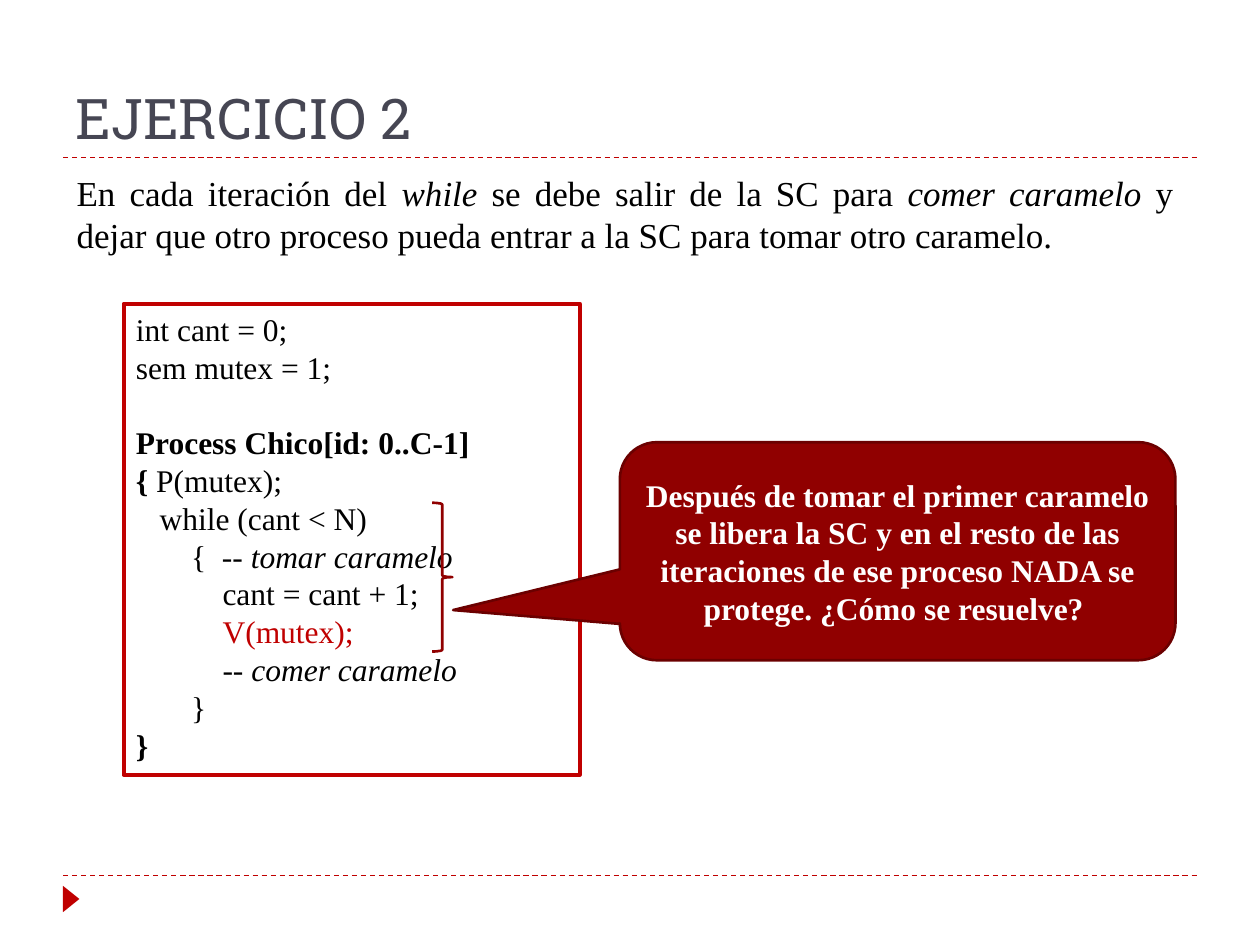
from dataclasses import dataclass
from typing import Optional

from lxml.etree import SubElement
from pptx import Presentation
from pptx.dml.color import RGBColor
from pptx.enum.dml import MSO_LINE
from pptx.enum.shapes import MSO_CONNECTOR, MSO_SHAPE
from pptx.enum.text import MSO_ANCHOR, MSO_AUTO_SIZE, PP_ALIGN
from pptx.oxml.ns import qn
from pptx.util import Pt


@dataclass(frozen=True)
class Theme:
    serif: str = "Times New Roman"
    slab: str = "Roboto Slab"
    ink: str = "000000"
    slate: str = "464653"
    white: str = "FFFFFF"
    red: str = "C00000"
    wine: str = "900000"
    edge: str = "6B0000"
    head: float = 32
    body: float = 20
    code: float = 18


@dataclass(frozen=True)
class Box:
    left: float
    top: float
    width: float
    height: float

    def pts(self):
        return Pt(self.left), Pt(self.top), Pt(self.width), Pt(self.height)


@dataclass(frozen=True)
class Word:
    text: str
    bold: bool = False
    slant: bool = False
    color: str = Theme.ink


@dataclass(frozen=True)
class Line:
    words: tuple[Word, ...]
    gap: float = 0


@dataclass(frozen=True)
class Form:
    kind: MSO_SHAPE
    box: Box
    fill: Optional[str] = None
    line: Optional[str] = None
    width: float = 1.5
    turn: float = 0
    bends: tuple[float, ...] = ()


THEME = Theme()

INTRO = [Line((
    Word("En cada iteración del "),
    Word("while", slant=True),
    Word(" se debe salir de la SC para"),
    Word(" comer caramelo", slant=True),
    Word(" y dejar que otro proceso pueda entrar a la SC para tomar otro caramelo. "),
))]

CODE = [
    Line((Word("int cant = 0;"),)),
    Line((Word("sem mutex = 1;"),)),
    Line((Word("Process Chico[id: 0..C-1]", bold=True),), gap=21.6),
    Line((Word("{", bold=True), Word(" P(mutex);"))),
    Line((Word("   while (cant < N)"),)),
    Line((Word("       {  -- "), Word("tomar caramelo", slant=True))),
    Line((Word("           cant = cant + 1;"),)),
    Line((Word("           "), Word("V(mutex);", color=THEME.red))),
    Line((Word("           -- "), Word("comer caramelo", slant=True))),
    Line((Word("       }"),)),
    Line((Word("}", bold=True),)),
]

NOTE = [Line((Word(
    "Después de tomar el primer caramelo se libera la SC y en el resto de las "
    "iteraciones de ese proceso NADA se protege. ¿Cómo se resuelve? ",
    bold=True, color=THEME.white),))]

ARROW = Form(MSO_SHAPE.ISOSCELES_TRIANGLE, Box(33.1, 509, 15.1, 9.4), fill=THEME.red, turn=90)
FRAME = Form(MSO_SHAPE.RECTANGLE, Box(70.6, 173.5, 260.6, 269.3), line=THEME.red, width=2.25)
BUBBLE = Form(MSO_SHAPE.ROUNDED_RECTANGULAR_CALLOUT, Box(354.2, 252.7, 317.5, 124.6),
              fill=THEME.wine, line=THEME.edge, bends=(-0.8, 0.27, 0.17))
BRACE = Form(MSO_SHAPE.RIGHT_BRACE, Box(247, 287.3, 11.5, 85), line=THEME.wine)


def tint(code: str) -> RGBColor:
    return RGBColor.from_string(code)


def write(frame, lines: list[Line], size: float, font: str = THEME.serif,
          align=PP_ALIGN.LEFT, anchor=MSO_ANCHOR.TOP) -> None:
    frame.word_wrap = True
    frame.auto_size = MSO_AUTO_SIZE.NONE
    frame.vertical_anchor = anchor
    for spot, line in enumerate(lines):
        para = frame.add_paragraph() if spot else frame.paragraphs[0]
        para.alignment = align
        if line.gap:
            para.space_before = Pt(line.gap)
        for word in line.words:
            run = para.add_run()
            run.text = word.text
            run.font.name = font
            run.font.size = Pt(size)
            run.font.bold = word.bold
            run.font.italic = word.slant
            run.font.color.rgb = tint(word.color)


def rule(slide, top: float) -> None:
    line = slide.shapes.add_connector(
        MSO_CONNECTOR.STRAIGHT, Pt(36), Pt(top), Pt(684), Pt(top))
    line.line.color.rgb = tint(THEME.red)
    line.line.width = Pt(0.75)
    line.line.dash_style = MSO_LINE.DASH
    SubElement(line._element.spPr, qn("a:effectLst"))


def draw(slide, form: Form):
    shape = slide.shapes.add_shape(form.kind, *form.box.pts())
    shape.shadow.inherit = False
    shape.rotation = form.turn
    for spot, bend in enumerate(form.bends):
        shape.adjustments[spot] = bend
    if form.fill:
        shape.fill.solid()
        shape.fill.fore_color.rgb = tint(form.fill)
    else:
        shape.fill.background()
    if form.line:
        shape.line.color.rgb = tint(form.line)
        shape.line.width = Pt(form.width)
    else:
        shape.line.fill.background()
    return shape


def main() -> None:
    deck = Presentation()
    deck.slide_width, deck.slide_height = Pt(720), Pt(540)
    slide = deck.slides.add_slide(deck.slide_layouts[5])

    for top in (500.4, 90):
        rule(slide, top)
    draw(slide, ARROW)

    title = slide.shapes.title
    title.left, title.top, title.width, title.height = Box(36, 12.2, 648, 77.8).pts()
    write(title.text_frame, [Line((Word("EJERCICIO 2", color=THEME.slate),))],
          THEME.head, THEME.slab, anchor=MSO_ANCHOR.BOTTOM)

    write(draw(slide, FRAME).text_frame, CODE, THEME.code)
    intro = slide.shapes.add_textbox(*Box(36.7, 94.3, 640.8, 55.4).pts())
    write(intro.text_frame, INTRO, THEME.body, align=PP_ALIGN.JUSTIFY)
    write(draw(slide, BUBBLE).text_frame, NOTE, THEME.code,
          align=PP_ALIGN.CENTER, anchor=MSO_ANCHOR.MIDDLE)
    draw(slide, BRACE)

    deck.save("out.pptx")


if __name__ == "__main__":
    main()
